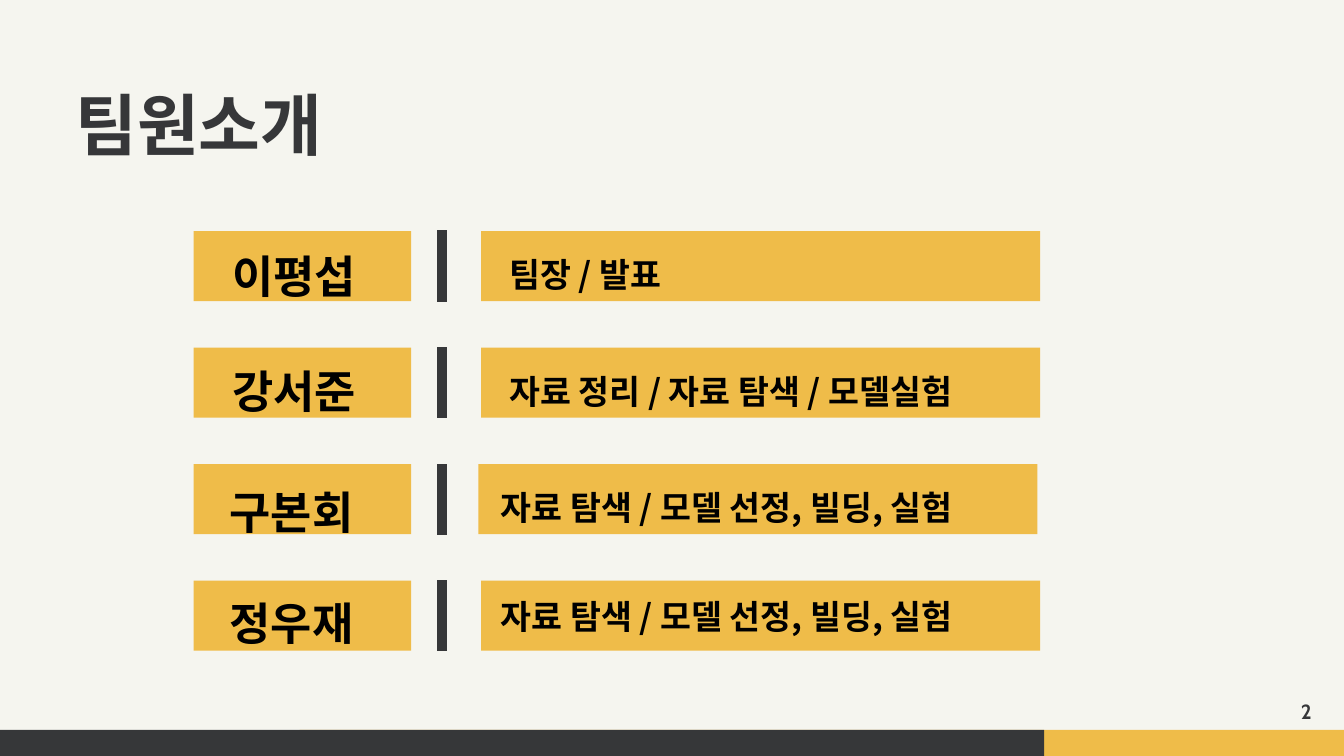
from pptx import Presentation
from pptx import util as u
from pptx.dml.color import RGBColor
from pptx.enum import shapes, text
from pptx.oxml.ns import qn

GOLD, DARK, PAPER, BLACK = "EFBC49", "363739", "F5F5EF", "000000"
COLS, ROWS = 100, 56.25  # square grid cells, a tenth of an inch each


def hue(code):
    return RGBColor.from_string(code)


class Page:
    font = "Noto Sans CJK KR"

    def __init__(self, deck):
        self.deck = deck
        self.slide = deck.slides.add_slide(deck.slide_layouts[6])
        fill = self.slide.background.fill
        fill.solid()
        fill.fore_color.rgb = hue(PAPER)

    def place(self, x, y, w, h):
        wide = self.deck.slide_width / COLS
        high = self.deck.slide_height / ROWS
        return [round(n) for n in (x * wide, y * high, w * wide, h * high)]

    def block(self, x, y, w, h, color, edge=0):
        box = self.slide.shapes.add_shape(
            shapes.MSO_SHAPE.RECTANGLE, *self.place(x, y, w, h))
        box.shadow.inherit = False
        box.fill.solid()
        box.fill.fore_color.rgb = hue(color)
        if edge:
            box.line.color.rgb = hue(color)
            box.line.width = u.Pt(edge)
            # Square corners
            ln = box._element.spPr.find(qn("a:ln"))
            ln.append(ln.makeelement(qn("a:miter"), {"lim": "800000"}))
        else:
            box.line.fill.background()

    def label(self, x, y, w, h, words, size, color=BLACK, font=font,
              frame=None, para=None):
        box = self.slide.shapes.add_textbox(*self.place(x, y, w, h))
        tf = box.text_frame
        line = tf.paragraphs[0]
        run = line.add_run()
        run.text = words
        sides = ("left", "right", "top", "bottom")
        zero = {f"margin_{side}": 0 for side in sides}
        styles = (
            (tf, {"word_wrap": True, **zero, **(frame or {})}),
            (line, para or {"line_spacing": 1.4}),
            (run.font, {"size": u.Pt(size), "bold": True, "name": font}),
        )
        for part, style in styles:
            for key, value in style.items():
                setattr(part, key, value)
        run.font.color.rgb = hue(color)
        # Hangul takes its face from the East Asian font; no pair kerning
        props = run.font._element
        props.set("kern", "0")
        asian = props.makeelement(qn("a:ea"), {"typeface": font})
        props.find(qn("a:latin")).addnext(asian)


# Each member: name, role, left of name, name drop, left of band,
# left of role, role drop
TEAM = [
    ("이평섭", "팀장 / 발표", 17.3, -0.3, 35.8, 37.9, 0.5),
    ("강서준", "자료 정리 / 자료 탐색 / 모델실험", 17.3, -0.4, 35.8, 37.9, 0.5),
    ("구본회", " 자료 탐색 / 모델 선정, 빌딩, 실험", 17.1, -0.1, 35.6, 36.7, 0.5),
    ("정우재", " 자료 탐색 / 모델 선정, 빌딩, 실험", 17.1, -0.5, 35.8, 36.7, -0.1),
]
TOP, STEP, TALL = 17.2, 8.67, 5.2


def main():
    deck = Presentation()
    deck.slide_width = u.Inches(10)
    deck.slide_height = deck.slide_width * 9 // 16
    page = Page(deck)

    # Footer strip
    page.block(22.3, 54.3, 77.7, 1.95, GOLD)
    page.block(0, 54.3, 77.7, 1.95, DARK)

    # Title
    page.label(5.6, 3.8, 33.7, 7.9, "팀원소개", 36, DARK)

    # Team rows: name, divider, role
    for i, (name, role, left, drop, band, start, fall) in enumerate(TEAM):
        y = TOP + i * STEP
        page.block(14.4, y, 16.2, TALL, GOLD)
        page.block(32.6, y, 0.6, TALL, DARK, edge=0.75)
        page.block(band, y, 41.6, TALL, GOLD)
        page.label(left, y + drop, 10.8, 6.3, name, 24)
        page.label(start, y + fall, 39.5, 6.3, role, 18)

    # Page number
    page.label(91.6, 51.9, 6, 2, "2", 11, DARK, "Cabin",
               {"vertical_anchor": text.MSO_ANCHOR.MIDDLE},
               {"alignment": text.PP_ALIGN.RIGHT})

    deck.save("out.pptx")


if __name__ == "__main__":
    main()
